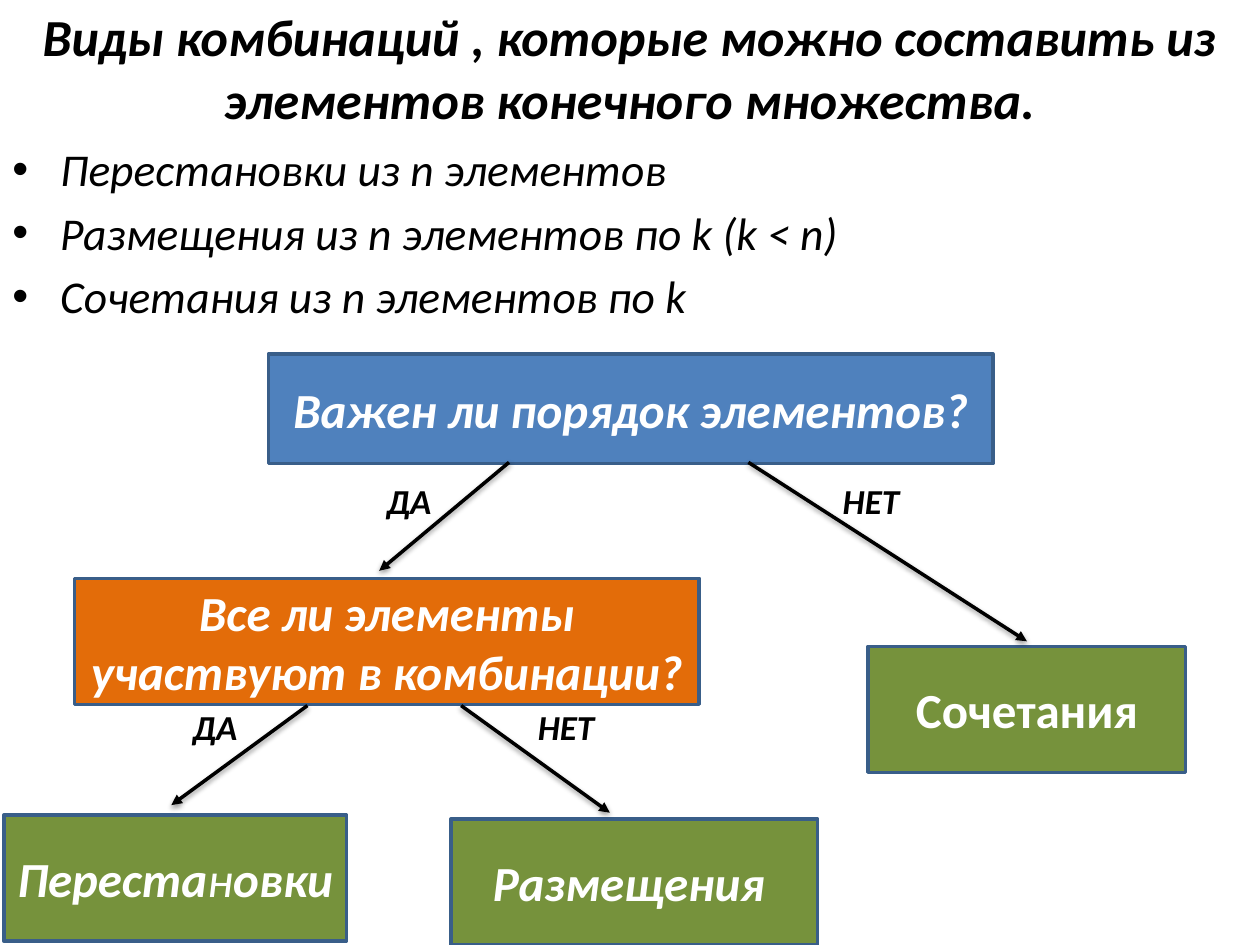
from lxml.etree import SubElement
from pptx import Presentation
from pptx.dml.color import RGBColor
from pptx.enum.shapes import MSO_CONNECTOR, MSO_SHAPE
from pptx.enum.text import MSO_ANCHOR, PP_ALIGN
from pptx.oxml.ns import qn
from pptx.util import Inches, Pt

BLACK, WHITE, BORDER = "000000", "FFFFFF", "395E89"
BLUE, ORANGE, GREEN = "4F81BD", "E36C09", "76923C"

TITLE = "Виды комбинаций , которые можно составить из элементов конечного множества."
BULLETS = [
    "Перестановки из n элементов",
    "Размещения из n элементов по k (k < n)",
    "Сочетания из n элементов по k",
]
BOXES = [
    (2.13, 2.81, 5.75, 0.87, BLUE, [("Важен ли порядок элементов?", True, True)]),
    (0.59, 4.59, 4.96, 1, ORANGE, [("Все ли элементы участвуют в комбинации?", True, True)]),
    (6.89, 5.13, 2.52, 1, GREEN, [("Сочетания", True, False)]),
    (0.03, 6.47, 2.72, 1, GREEN,
     [("Переста", True, True), ("н", False, True), ("овки", True, True)]),
    (3.58, 6.5, 2.91, 1, GREEN, [("Размещения ", True, True)]),
]
ARROWS = [
    (5.94, 3.67, 8.15, 5.09),
    (4.04, 3.67, 3.01, 4.53),
    (3.66, 5.6, 4.84, 6.45),
    (2.44, 5.6, 1.36, 6.39),
]
LABELS = [
    ("ДА", 2.97, 3.76),
    ("НЕТ", 6.59, 3.76),
    ("ДА", 1.43, 5.55),
    ("НЕТ", 4.17, 5.55),
]


def color(value):
    """Turn a hex string into a colour."""
    return RGBColor.from_string(value)


def add_run(paragraph, text, size, value, bold=False, italic=False):
    """Append one formatted run to a paragraph."""
    run = paragraph.add_run()
    run.text = text
    font = run.font
    font.name, font.size = "Calibri", Pt(size)
    font.bold, font.italic = bold, italic
    font.color.rgb = color(value)


def add_text_frame(slide, left, top, width, height):
    """Add a wrapping text box and return its text frame."""
    box = slide.shapes.add_textbox(Inches(left), Inches(top), Inches(width), Inches(height))
    box.text_frame.word_wrap = True
    return box.text_frame


def add_title(slide):
    """Add the centred heading."""
    frame = add_text_frame(slide, 0, 0, 10, 1.07)
    frame.vertical_anchor = MSO_ANCHOR.MIDDLE
    paragraph = frame.paragraphs[0]
    paragraph.alignment = PP_ALIGN.CENTER
    add_run(paragraph, TITLE, 29.7, BLACK, bold=True, italic=True)


def add_bullets(slide):
    """Add the list of combination kinds."""
    frame = add_text_frame(slide, 0, 1.07, 10, 1.65)
    for index, text in enumerate(BULLETS):
        paragraph = frame.add_paragraph() if index else frame.paragraphs[0]
        properties = paragraph._p.get_or_add_pPr()
        properties.set("marL", str(Inches(0.38)))
        properties.set("indent", str(Inches(-0.38)))
        SubElement(properties, qn("a:buFont"), typeface="Arial")
        SubElement(properties, qn("a:buChar"), char="•")
        if index:
            paragraph.space_before = Pt(5.2)
        add_run(paragraph, text, 26, BLACK, italic=True)


def add_box(slide, left, top, width, height, fill, runs):
    """Add one box of the decision tree."""
    shape = slide.shapes.add_shape(
        MSO_SHAPE.RECTANGLE, Inches(left), Inches(top), Inches(width), Inches(height))
    shape.shadow.inherit = False
    shape.fill.solid()
    shape.fill.fore_color.rgb = color(fill)
    shape.line.color.rgb = color(BORDER)
    shape.line.width = Pt(2)
    frame = shape.text_frame
    frame.word_wrap = True
    frame.vertical_anchor = MSO_ANCHOR.MIDDLE
    paragraph = frame.paragraphs[0]
    paragraph.alignment = PP_ALIGN.CENTER
    for text, bold, italic in runs:
        add_run(paragraph, text, 28, WHITE, bold, italic)


def add_arrow(slide, *ends):
    """Add a branch arrow with a soft shadow."""
    connector = slide.shapes.add_connector(MSO_CONNECTOR.STRAIGHT, *map(Inches, ends))
    connector.line.color.rgb = color(BLACK)
    connector.line.width = Pt(2)
    SubElement(connector.line._get_or_add_ln(), qn("a:tailEnd"), type="triangle")
    effects = SubElement(connector._element.spPr, qn("a:effectLst"))
    shadow = SubElement(effects, qn("a:outerShdw"), blurRad=str(Pt(3.1)),
                        dist=str(Pt(1.6)), dir="5400000", rotWithShape="0")
    tint = SubElement(shadow, qn("a:srgbClr"), val=BLACK)
    SubElement(tint, qn("a:alpha"), val="38000")


def add_label(slide, text, left, top):
    """Add the answer beside an arrow."""
    frame = add_text_frame(slide, left, top, 0.8, 0.44)
    add_run(frame.paragraphs[0], text, 20, BLACK, bold=True, italic=True)


def main():
    """Build and save the slide."""
    presentation = Presentation()
    presentation.slide_width, presentation.slide_height = Inches(10), Inches(7.5)
    slide = presentation.slides.add_slide(presentation.slide_layouts[6])
    add_title(slide)
    add_bullets(slide)
    for label in LABELS:
        add_label(slide, *label)
    for box in BOXES:
        add_box(slide, *box)
    for arrow in ARROWS:
        add_arrow(slide, *arrow)
    presentation.save("out.pptx")


if __name__ == "__main__":
    main()
